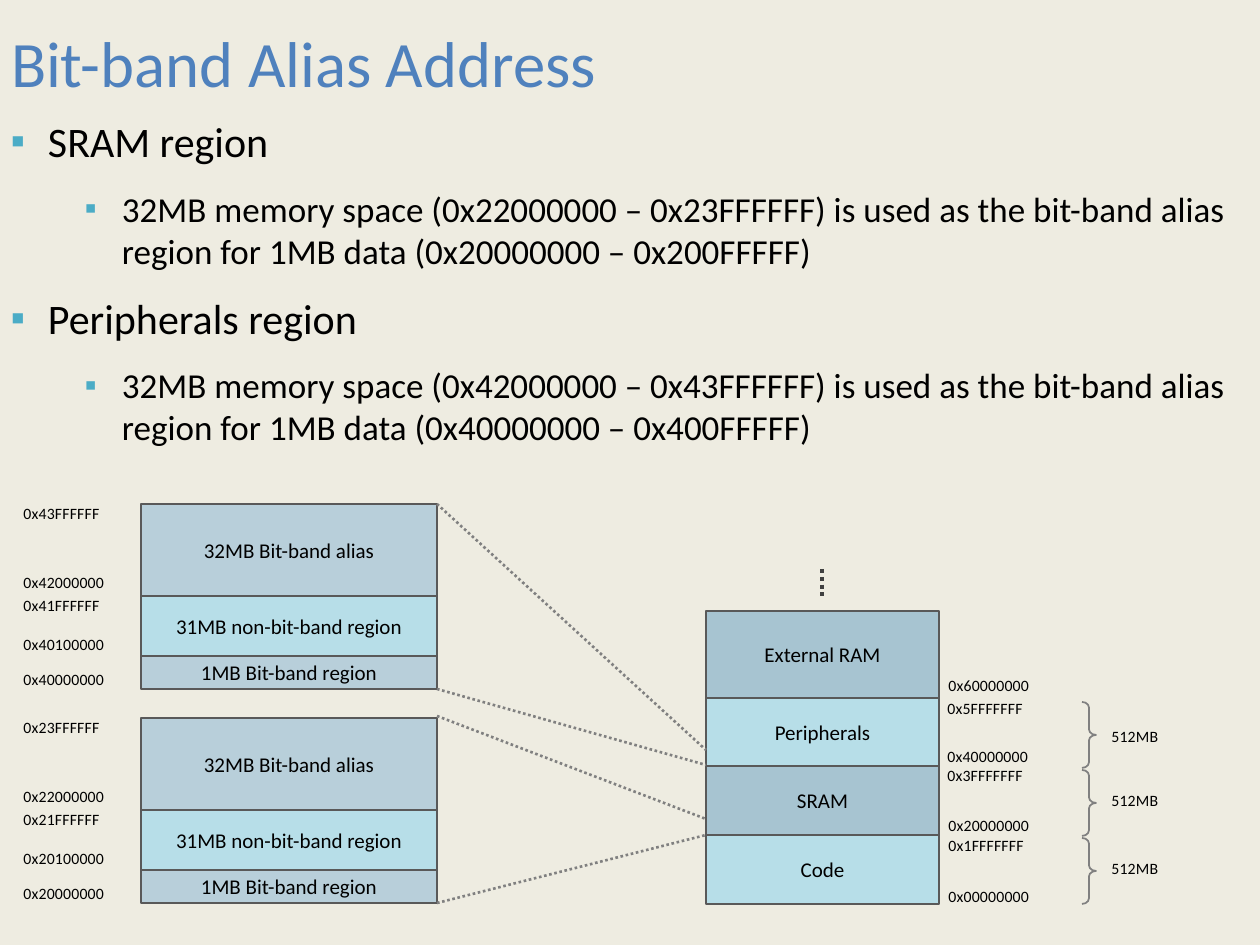
import pptx
import pptx.util
import pptx.dml.color
import pptx.enum.dml
import pptx.enum.shapes
import pptx.enum.text
import pptx.oxml
import lxml.etree
from pptx.oxml.ns import qn

SCALE = 914400 / 126
FONT = "Calibri"
HUES = {
    "back": "EEECE1", "title": "4F81BD", "bullet": "4BACC6", "text": "000000",
    "alias": "B8CFDA", "plain": "B7DEE8", "steel": "A7C4D1",
    "edge": "595959", "guide": "808080", "dots": "404040",
}


def px(size):
    """Turn pixels into EMU."""
    return pptx.util.Emu(round(size * SCALE))


def hue(name):
    """Return a named colour."""
    return pptx.dml.color.RGBColor.from_string(HUES[name])


class Deck:
    """Holds the style and the current slide."""

    def __init__(self, wide, high):
        """Start a one-slide deck."""
        self.file = pptx.Presentation()
        self.file.slide_width, self.file.slide_height = px(wide), px(high)
        self.slide = self.file.slides.add_slide(self.file.slide_layouts[5])
        self.slide.background.fill.solid()
        self.slide.background.fill.fore_color.rgb = hue("back")

    def style(self, para, size, color="text"):
        """Format the runs of a paragraph."""
        for run in para.runs:
            run.font.name = FONT
            run.font.size = pptx.util.Pt(size)
            run.font.color.rgb = hue(color)

    def frame(self, shape):
        """Prepare a wrapped text frame without margins."""
        frame = shape.text_frame
        frame.word_wrap = True
        frame.auto_size = pptx.enum.text.MSO_AUTO_SIZE.NONE
        frame.vertical_anchor = pptx.enum.text.MSO_ANCHOR.TOP
        frame.margin_left = frame.margin_right = 0
        frame.margin_top = frame.margin_bottom = 0
        return frame

    def title(self, text, x, y, w, h):
        """Place and fill the title."""
        shape = self.slide.shapes.title
        shape.left, shape.top, shape.width, shape.height = map(px, (x, y, w, h))
        frame = self.frame(shape)
        frame.text = text
        para = frame.paragraphs[0]
        para.alignment = pptx.enum.text.PP_ALIGN.LEFT
        self.style(para, 37, "title")

    def bullets(self, items, x, y, w, h):
        """Add a list of (level, text) items."""
        frame = self.frame(self.slide.shapes.add_textbox(*map(px, (x, y, w, h))))
        for index, (level, text) in enumerate(items):
            para = frame.add_paragraph() if index else frame.paragraphs[0]
            para.text = text
            para.level = level
            para.space_before = pptx.util.Pt(12)
            self.style(para, 20 if level else 24)
            props = para._p.get_or_add_pPr()
            props.set("marL", str(px(111 if level else 37)))
            props.set("indent", str(-px(37)))
            tint = lxml.etree.SubElement(props, qn("a:buClr"))
            lxml.etree.SubElement(tint, qn("a:srgbClr"), val=HUES["bullet"])
            lxml.etree.SubElement(props, qn("a:buSzPct"), val="95000")
            lxml.etree.SubElement(props, qn("a:buFont"), typeface=FONT)
            lxml.etree.SubElement(props, qn("a:buChar"), char="▪")

    def label(self, text, x, y, w=156):
        """Add a small label."""
        box = self.slide.shapes.add_textbox(*map(px, (x, y, w, 33)))
        box.text_frame.word_wrap = True
        box.text_frame.text = text
        para = box.text_frame.paragraphs[0]
        self.style(para, 9)
        para.runs[0].font._element.set("spc", "10")

    def block(self, text, fill, x, y, w, h):
        """Add a bordered block of memory."""
        kind = pptx.enum.shapes.MSO_SHAPE.RECTANGLE
        shape = self.slide.shapes.add_shape(kind, *map(px, (x, y, w, h)))
        shape.shadow.inherit = False
        shape.fill.solid()
        shape.fill.fore_color.rgb = hue(fill)
        shape.line.color.rgb = hue("edge")
        shape.line.width = pptx.util.Pt(1.5)
        frame = shape.text_frame
        frame.text = text
        frame.word_wrap = False
        frame.vertical_anchor = pptx.enum.text.MSO_ANCHOR.MIDDLE
        frame.paragraphs[0].alignment = pptx.enum.text.PP_ALIGN.CENTER
        self.style(frame.paragraphs[0], 12)

    def stack(self, parts, x, y, w):
        """Pile (text, fill, height) blocks downwards."""
        for text, fill, h in parts:
            self.block(text, fill, x, y, w, h)
            y += h

    def brace(self, x, y, w, h):
        """Add a right brace."""
        kind = pptx.enum.shapes.MSO_SHAPE.RIGHT_BRACE
        shape = self.slide.shapes.add_shape(kind, *map(px, (x, y, w, h)))
        shape.shadow.inherit = False
        shape.adjustments[0] = 0.4
        shape.fill.background()
        shape.line.color.rgb = hue("guide")
        shape.line.width = pptx.util.Pt(1)

    def dotted(self, start, end, color="guide", width=1.5):
        """Add a dotted line between two points."""
        kind = pptx.enum.shapes.MSO_CONNECTOR.STRAIGHT
        line = self.slide.shapes.add_connector(kind, *map(px, start + end))
        line.line.color.rgb = hue(color)
        line.line.width = pptx.util.Pt(width)
        line.line.dash_style = pptx.enum.dml.MSO_LINE.ROUND_DOT
        lxml.etree.SubElement(line._element.spPr, qn("a:effectLst"))


deck = Deck(1260, 945)
deck.title("Bit-band Alias Address", 11, 23, 1174, 111)

USE = ("32MB memory space (0x{0}2000000 – 0x{0}3FFFFFF) is used as the bit-band "
       "alias region for 1MB data (0x{0}0000000 – 0x{0}00FFFFF)")
deck.bullets([
    (0, "SRAM region"), (1, USE.format(2)),
    (0, "Peripherals region"), (1, USE.format(4)),
], 11, 116, 1250, 314)

# Address map
deck.stack([
    ("External RAM", "steel", 87), ("Peripherals", "plain", 68),
    ("SRAM", "steel", 69), ("Code", "plain", 69),
], 706, 611, 233)
deck.dotted((822, 569), (822, 598), "dots", 2.25)
for text, x, y in [
    ("0x60000000", 936, 670), ("0x5FFFFFFF", 935, 693),
    ("0x40000000", 935, 741), ("0x3FFFFFFF", 935, 760),
    ("0x20000000", 936, 810), ("0x1FFFFFFF", 936, 830),
    ("0x00000000", 936, 881),
]:
    deck.label(text, x, y)
for index, y in enumerate((721, 785, 853)):
    deck.brace(1082, 702 + 68 * index, 14, 66)
    deck.label("512MB", 1099, y, 108)

# Enlarged regions
PARTS = [
    ("32MB Bit-band alias", "alias", 92),
    ("31MB non-bit-band region", "plain", 60),
    ("1MB Bit-band region", "alias", 33),
]
MARKS = [("3FFFFFF", -6), ("2000000", 63), ("1FFFFFF", 86),
         ("0100000", 125), ("0000000", 160)]
for digit, top in ((4, 504), (2, 718)):
    deck.stack(PARTS, 141, top, 296)
    for tail, shift in MARKS:
        deck.label(f"0x{digit}{tail}", 11, top + shift)

for left, right in ((504, 750), (689, 765), (716, 819), (903, 835)):
    deck.dotted((437, left), (706, right))

deck.file.save("out.pptx")
